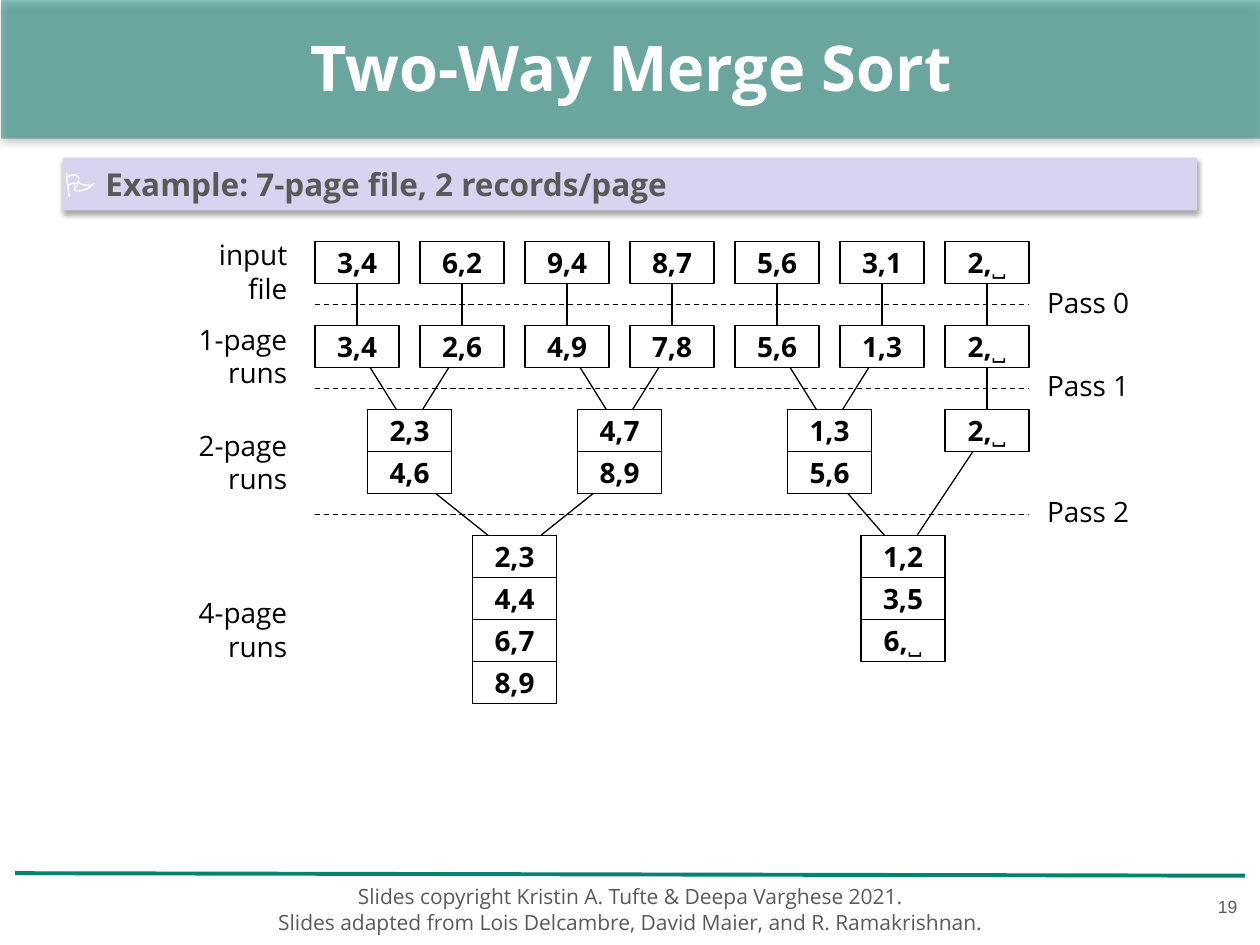
from dataclasses import dataclass

import lxml.etree
import pptx
import pptx.dml.color
import pptx.enum.dml
import pptx.enum.shapes
import pptx.enum.text
import pptx.oxml.ns
import pptx.util

COLUMNS, ROWS = 60, 45
PAGE_WIDTH, PAGE_HEIGHT = 4, 2
FIRST_COLUMN, COLUMN_STEP, LAST_EDGE = 15, 5, 49
ALIGN = pptx.enum.text.PP_ALIGN
ANCHOR = pptx.enum.text.MSO_ANCHOR

deck = pptx.Presentation()
deck.slide_width = pptx.util.Inches(10)
deck.slide_height = pptx.util.Inches(7.5)
slide = deck.slides.add_slide(deck.slide_layouts[1])


@dataclass
class Run:
    column: float
    row: float
    pages: list[str]
    sources: tuple[int, ...] = ()


@dataclass
class Label:
    text: str
    column: float
    row: float
    width: float
    align: int = ALIGN.RIGHT


def across(columns: float) -> int:
    return round(deck.slide_width * columns / COLUMNS)


def down(rows: float) -> int:
    return round(deck.slide_height * rows / ROWS)


def area(column: float, row: float, width: float, height: float) -> tuple[int, ...]:
    return across(column), down(row), across(width), down(height)


def colour(code: str) -> pptx.dml.color.RGBColor:
    return pptx.dml.color.RGBColor.from_string(code)


def write(box, *pieces, size=16, code="000000", bold=False, font="Open Sans",
          align=ALIGN.CENTER, anchor=ANCHOR.MIDDLE, inset=0.05):
    frame = box.text_frame
    frame.word_wrap = True
    frame.auto_size = pptx.enum.text.MSO_AUTO_SIZE.NONE
    frame.vertical_anchor = anchor
    frame.margin_left = frame.margin_right = pptx.util.Inches(inset)
    frame.margin_top = frame.margin_bottom = pptx.util.Inches(inset)
    for index, text in enumerate(pieces):
        para = frame.add_paragraph() if index else frame.paragraphs[0]
        para.alignment = align
        para.space_before = pptx.util.Pt(0)
        span = para.add_run()
        span.text = text
        span.font.size = pptx.util.Pt(size)
        span.font.name = font
        span.font.bold = bold
        span.font.color.rgb = colour(code)
    return box


def add_text(place: tuple[int, ...], *pieces, **style):
    return write(slide.shapes.add_textbox(*place), *pieces, **style)


def place_placeholder(box, place: tuple[int, ...]):
    box.left, box.top, box.width, box.height = place
    return box


def child(parent, tag: str, **attributes):
    return lxml.etree.SubElement(parent, pptx.oxml.ns.qn(tag), **attributes)


def add_shadow(box, opacity: int, blur: float, distance: float):
    effects = child(box._element.spPr, "a:effectLst")
    shadow = child(effects, "a:outerShdw", blurRad=str(pptx.util.Pt(blur)),
                   dist=str(pptx.util.Pt(distance)), dir="5400000",
                   algn="ctr", rotWithShape="0")
    tone = child(shadow, "a:srgbClr", val="000000")
    child(tone, "a:alpha", val=str(opacity * 1000))


def add_rectangle(place: tuple[int, ...], fill: str):
    box = slide.shapes.add_shape(pptx.enum.shapes.MSO_SHAPE.RECTANGLE, *place)
    box.fill.solid()
    box.fill.fore_color.rgb = colour(fill)
    return box


def add_line(start: tuple[float, float], end: tuple[float, float],
             code="000000", weight=0.75, dashed=False):
    line = slide.shapes.add_connector(
        pptx.enum.shapes.MSO_CONNECTOR.STRAIGHT,
        across(start[0]), down(start[1]), across(end[0]), down(end[1]))
    line.line.color.rgb = colour(code)
    line.line.width = pptx.util.Pt(weight)
    if dashed:
        line.line.dash_style = pptx.enum.dml.MSO_LINE.DASH
    child(line._element.spPr, "a:effectLst")
    return line


def draw_run(run: Run) -> list:
    boxes = []
    for index, text in enumerate(run.pages):
        top = run.row + index * PAGE_HEIGHT
        box = add_rectangle(area(run.column, top, PAGE_WIDTH, PAGE_HEIGHT), "FFFFFF")
        box.shadow.inherit = False
        box.line.color.rgb = colour("000000")
        box.line.width = pptx.util.Pt(0.75)
        boxes.append(write(box, text, bold=True, inset=0))
    return boxes


def join_runs(source: Run, target: Run, source_box, target_box):
    bottom = source.row + len(source.pages) * PAGE_HEIGHT
    half = PAGE_HEIGHT / 2
    share = half / (target.row - bottom + PAGE_HEIGHT)
    shift = target.column - source.column
    middle = source.column + PAGE_WIDTH / 2
    line = add_line((middle + shift * share, bottom),
                    (middle + shift * (1 - share), target.row))
    if shift == 0:
        line.begin_connect(source_box, 2)
        line.end_connect(target_box, 0)


def row_of_pages(row: float, texts: str, joined: bool) -> list[Run]:
    return [Run(FIRST_COLUMN + index * COLUMN_STEP, row, [text], (index,) if joined else ())
            for index, text in enumerate(texts.split())]


banner = add_rectangle(area(0.06, 0, 60, 6.6), "018370")
banner.line.fill.background()
child(banner.fill._xPr.find(".//" + pptx.oxml.ns.qn("a:srgbClr")), "a:alpha", val="46000")
add_shadow(banner, 50, 4.5, 1.5)

title = place_placeholder(slide.shapes.title, area(0.06, -0.12, 60, 6.6))
write(title, "Two-Way Merge Sort", size=36, code="FFFFFF", bold=True)
slide.shapes._spTree.append(title._element)

example = place_placeholder(slide.placeholders[1], area(3, 7.5, 54, 2.52))
example.fill.solid()
example.fill.fore_color.rgb = colour("D8D3EE")
add_shadow(example, 35, 3, 1.8)
write(example, "🏱 ", size=18, code="FFFFFF", align=ALIGN.LEFT, inset=0)
heading = example.text_frame.paragraphs[0]
properties = heading._p.get_or_add_pPr()
properties.set("marL", "0")
properties.set("indent", "0")
child(properties, "a:buNone")
topic = heading.add_run()
topic.text = "Example: 7-page file, 2 records/page"
topic.font.size, topic.font.name, topic.font.bold = pptx.util.Pt(18), "Open Sans", True
topic.font.color.rgb = colour("595959")

add_line((0.72, 41.58), (59.28, 41.7), code="018370", weight=2.25)
add_text(area(3.18, 41.58, 53.7, 3.42),
         "Slides copyright Kristin A. Tufte & Deepa Varghese 2021.",
         "Slides adapted from Lois Delcambre, David Maier, and R. Ramakrishnan.",
         size=12, code="595959")
add_text(area(55.62, 41.46, 3.6, 3.42), "19",
         size=10, code="595959", font="Arial", align=ALIGN.RIGHT)

LEVELS = [
    row_of_pages(11.5, "3,4 6,2 9,4 8,7 5,6 3,1 2,˽", False),
    row_of_pages(15.5, "3,4 2,6 4,9 7,8 5,6 1,3 2,˽", True),
    [Run(17.5, 19.5, ["2,3", "4,6"], (0, 1)),
     Run(27.5, 19.5, ["4,7", "8,9"], (2, 3)),
     Run(37.5, 19.5, ["1,3", "5,6"], (4, 5)),
     Run(45, 19.5, ["2,˽"], (6,))],
    [Run(22.5, 25.5, ["2,3", "4,4", "6,7", "8,9"], (0, 1)),
     Run(41, 25.5, ["1,2", "3,5", "6,˽"], (2, 3))],
]
LABELS = [
    Label("input file", 8.34, 11.04, 5.64),
    Label("1-page runs", 6.18, 15.06, 7.8),
    Label("2-page runs", 6.18, 20.1, 7.8),
    Label("4-page runs", 6.18, 28.08, 7.8),
]

for number, level in enumerate(LEVELS[1:]):
    border = level[0].row - 1
    add_line((FIRST_COLUMN, border), (LAST_EDGE, border), dashed=True)
    LABELS.append(Label(f"Pass {number}", 49.56, border - 1.22, 5.2, ALIGN.LEFT))

previous, previous_boxes = [], []
for level in LEVELS:
    boxes = [draw_run(run) for run in level]
    for run, stack in zip(level, boxes):
        for source in run.sources:
            join_runs(previous[source], run, previous_boxes[source][-1], stack[0])
    previous, previous_boxes = level, boxes

for label in LABELS:
    add_text(area(label.column, label.row, label.width, 2.16), label.text,
             align=label.align, anchor=ANCHOR.TOP)

deck.save("out.pptx")
